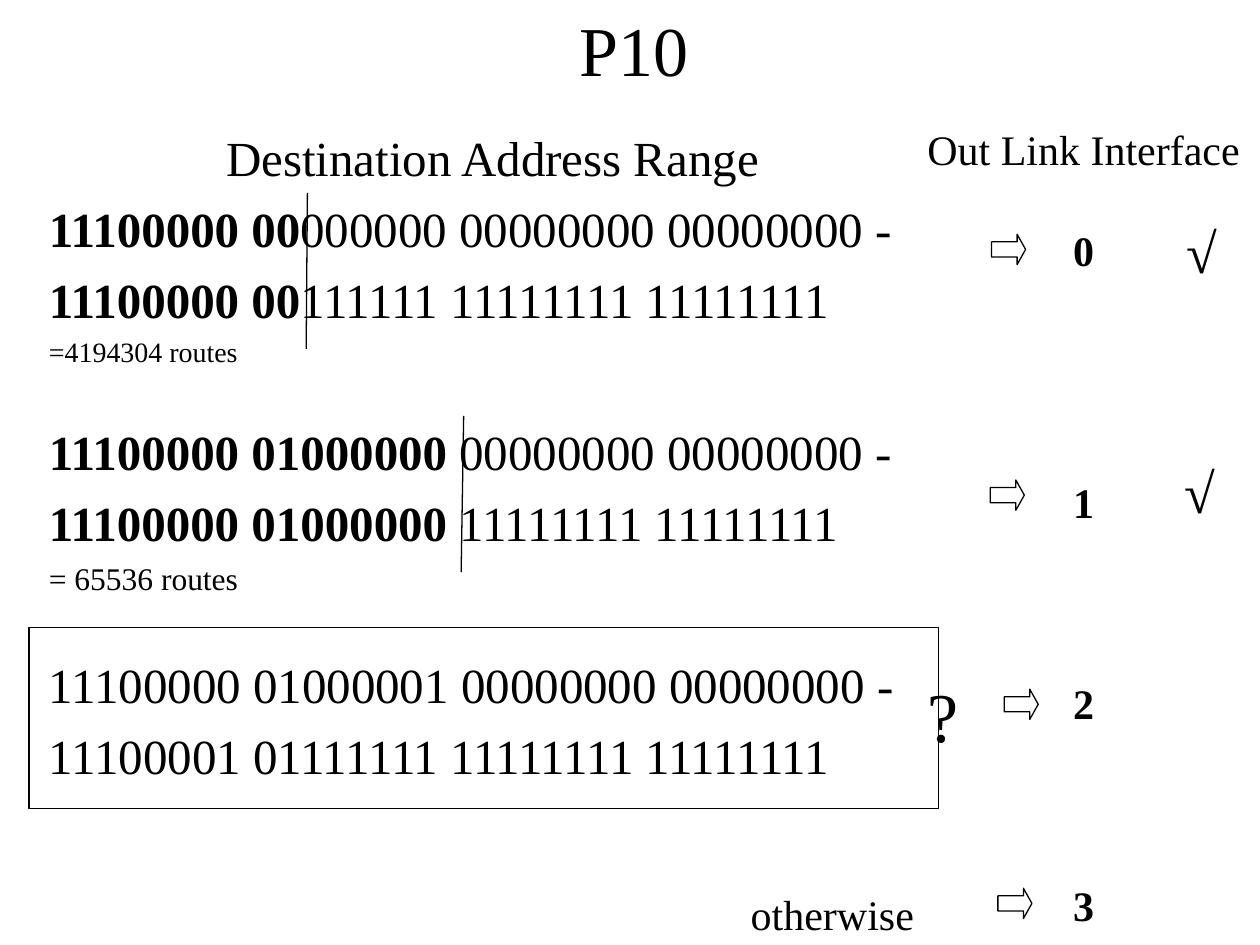
from dataclasses import dataclass

from lxml import etree
from pptx import Presentation
from pptx.dml.color import RGBColor
from pptx.enum import shapes, text
from pptx.oxml.ns import qn
from pptx.util import Inches, Pt


@dataclass(frozen=True)
class Theme:
    font: str = "Times New Roman"
    ink: RGBColor = RGBColor(0, 0, 0)
    paper: RGBColor = RGBColor(255, 255, 255)
    line: float = 0.75
    title: int = 40
    body: int = 28
    label: int = 24
    note: int = 16
    wide_note: int = 18
    tick: int = 32
    leading: float = 1.2
    before: float = 0.25


THEME = Theme()
LEFT, CENTER = text.PP_ALIGN.LEFT, text.PP_ALIGN.CENTER

# (bold prefix, rest, size, size of the skipped line above, alignment)
RANGES = [
    ("", "Destination Address Range", THEME.body, 0, CENTER),
    ("11100000 00", "000000 00000000 00000000 -", THEME.body, 0, LEFT),
    ("11100000 00", "111111 11111111 11111111", THEME.body, 0, LEFT),
    ("", "=4194304 routes", THEME.note, 0, LEFT),
    ("11100000 01000000", " 00000000 00000000 -", THEME.body, THEME.note, LEFT),
    ("11100000 01000000", " 11111111 11111111", THEME.body, 0, LEFT),
    ("", "= 65536 routes", THEME.wide_note, 0, LEFT),
    ("", "11100000 01000001 00000000 00000000 -", THEME.body, THEME.wide_note, LEFT),
    ("", "11100001 01111111 11111111 11111111", THEME.body, 0, LEFT),
]
# (bold prefix, rest, lines skipped above)
INTERFACES = [("", "Out Link Interface", 0), ("0", "", 1), ("1", "", 4),
              ("2", "", 3), ("3", "", 3)]
# (wording, size, box)
REMARKS = [
    ("√", THEME.tick, (9.32, 1.68, 0.5, 0.64)),
    ("√", THEME.tick, (9.3, 3.58, 0.5, 0.64)),
    ("?", THEME.title, (7.26, 5.29, 0.58, 0.77)),
    ("otherwise", THEME.label, (5.86, 7, 1.6, 0.5)),
]
UNCLEAR_RANGE = (0.23, 4.98, 7.22, 1.44)
PREFIX_CUTS = [(2.44, 1.53, 2.43, 2.77), (3.68, 3.3, 3.66, 4.54)]
ARROWS = [(7.87, 1.86), (7.86, 3.81), (7.97, 5.47), (7.92, 7.05)]
ARROW_SIZE = (0.27, 0.24)


def add_frame(slide, box):
    frame = slide.shapes.add_textbox(*map(Inches, box)).text_frame
    frame.word_wrap = True
    return frame


def write(frame, prefix, rest, size, align=LEFT, before=0):
    """Fill the empty first paragraph, or add one, with a bold prefix."""
    first = frame.paragraphs[0]
    paragraph = frame.add_paragraph() if first.runs else first
    for wording, bold in ((prefix, True), (rest, False)):
        if wording:
            run = paragraph.add_run()
            run.text = wording
            run.font.bold = bold
    paragraph.alignment = align
    paragraph.line_spacing = Pt(size * THEME.leading)
    paragraph.space_before = Pt(before)
    paragraph.font.name = THEME.font
    paragraph.font.size = Pt(size)
    paragraph.font.color.rgb = THEME.ink
    return paragraph


def add_outline(slide, kind, box, filled):
    shape = slide.shapes.add_shape(kind, *map(Inches, box))
    shape.shadow.inherit = False
    if filled:
        shape.fill.solid()
        shape.fill.fore_color.rgb = THEME.paper
    else:
        shape.fill.background()
    shape.line.color.rgb = THEME.ink
    shape.line.width = Pt(THEME.line)
    return shape


def add_ranges(slide):
    frame = add_frame(slide, (0.29, 0.96, 7.24, 5.37))
    for row, (prefix, rest, size, skipped, align) in enumerate(RANGES):
        gap = size * THEME.before + skipped * (THEME.leading + THEME.before)
        paragraph = write(frame, prefix, rest, size, align, gap if row else 0)
        properties = paragraph._p.get_or_add_pPr()
        properties.set("marL", str(Inches(0.38)))
        properties.set("indent", str(-Inches(0.38)))


def add_interfaces(slide):
    frame = add_frame(slide, (7.2, 0.93, 2.8, 6.57))
    for number, label, skipped in INTERFACES:
        gap = skipped * THEME.label * THEME.leading
        write(frame, number, label, THEME.label, CENTER, gap)


def add_cut(slide, ends):
    cut = slide.shapes.add_connector(shapes.MSO_CONNECTOR.STRAIGHT, *map(Inches, ends))
    cut.line.color.rgb = THEME.ink
    cut.line.width = Pt(THEME.line)
    etree.SubElement(cut._element.spPr, qn("a:effectLst"))


def main():
    deck = Presentation()
    deck.slide_width, deck.slide_height = Inches(10), Inches(7.5)
    slide = deck.slides.add_slide(deck.slide_layouts[6])

    title = add_frame(slide, (0.78, 0, 8.5, 0.77))
    title.vertical_anchor = text.MSO_ANCHOR.MIDDLE
    write(title, "", "P10", THEME.title, CENTER)
    add_ranges(slide)
    add_interfaces(slide)
    for wording, size, box in REMARKS:
        write(add_frame(slide, box), "", wording, size)

    add_outline(slide, shapes.MSO_SHAPE.RECTANGLE, UNCLEAR_RANGE, filled=False)
    for ends in PREFIX_CUTS:
        add_cut(slide, ends)
    for corner in ARROWS:
        arrow = add_outline(slide, shapes.MSO_SHAPE.RIGHT_ARROW, corner + ARROW_SIZE, filled=True)
        arrow.adjustments[1] = 0.28

    deck.save("out.pptx")


if __name__ == "__main__":
    main()
